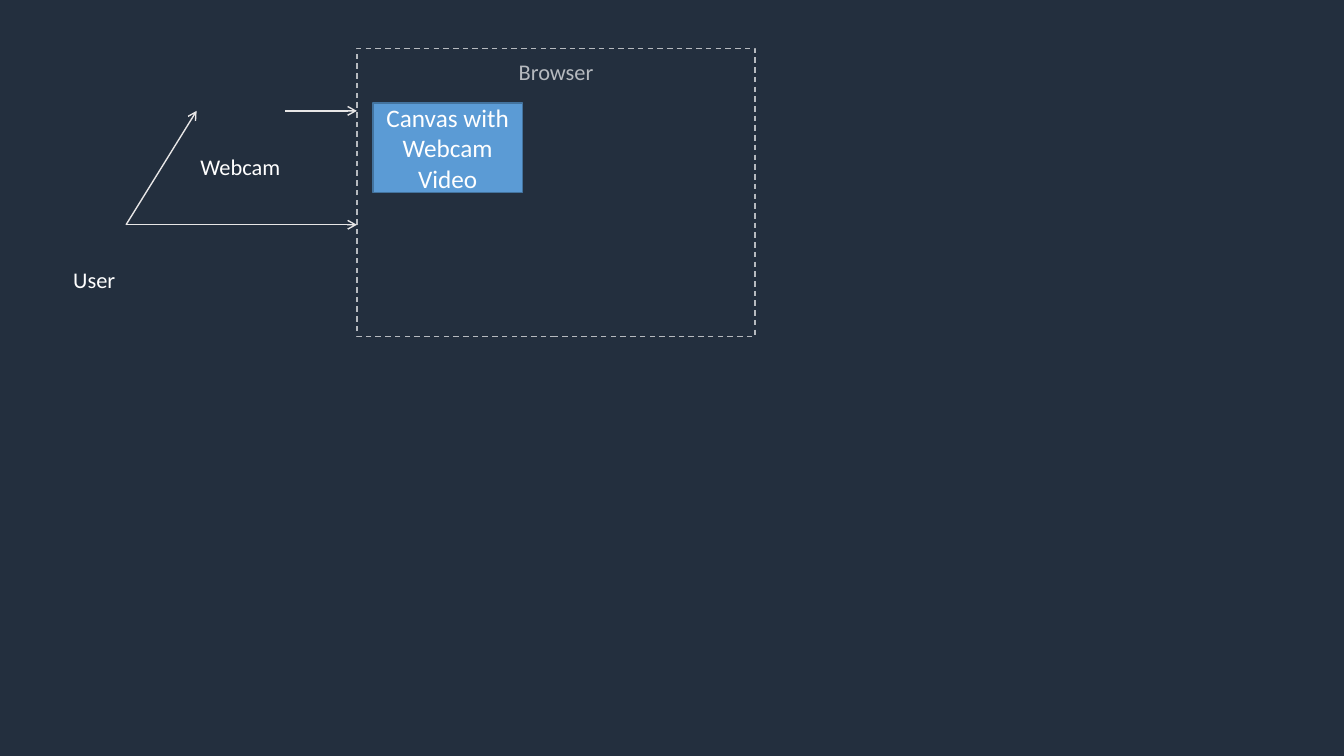
from lxml import etree
from pptx import Presentation
from pptx.dml.color import RGBColor
from pptx.enum import dml, shapes, text
from pptx.oxml import ns
from pptx.util import Inches, Pt

FONT = "Calibri"
COLORS = {
    "background": "232F3E",
    "white": "FFFFFF",
    "arrow": "E7E6E6",
    "browser": "B6BABF",
    "canvas": "5B9BD5",
    "canvas_line": "43739E",
}

# Boxes are left, top, width, height in inches.
BROWSER = (3.54, 0.48, 3.95, 2.86)
CANVAS = (3.7, 1.02, 1.48, 0.89)
USER_LABEL = (0.35, 2.59, 1.17, 0.37)
WEBCAM_LABEL = (1.89, 1.47, 1, 0.37)

USER_POINT = (1.25, 2.23)
WEBCAM_IN = (1.95, 1.1)
WEBCAM_OUT = (2.83, 1.1)
ARROWS = [
    (USER_POINT, WEBCAM_IN),
    (USER_POINT, (BROWSER[0], USER_POINT[1])),
    (WEBCAM_OUT, (BROWSER[0], WEBCAM_OUT[1])),
]


def rgb(name):
    return RGBColor.from_string(COLORS[name])


def write(shape, lines, size, color, align, anchor, wrap=True):
    frame = shape.text_frame
    frame.word_wrap = wrap
    frame.vertical_anchor = anchor
    frame.text = "\n".join(lines)
    for paragraph in frame.paragraphs:
        paragraph.alignment = align
        paragraph.font.name = FONT
        paragraph.font.size = Pt(size)
        paragraph.font.color.rgb = rgb(color)


def add_label(slide, box, label, align, wrap):
    shape = slide.shapes.add_textbox(*map(Inches, box))
    write(shape, [label], 16, "white", align, text.MSO_ANCHOR.TOP, wrap)
    shape.text_frame.auto_size = text.MSO_AUTO_SIZE.SHAPE_TO_FIT_TEXT


def add_box(slide, box, line_color, fill=None):
    shape = slide.shapes.add_shape(shapes.MSO_SHAPE.RECTANGLE, *map(Inches, box))
    shape.shadow.inherit = False
    if fill:
        shape.fill.solid()
        shape.fill.fore_color.rgb = rgb(fill)
    else:
        shape.fill.background()
    shape.line.color.rgb = rgb(line_color)
    shape.line.width = Pt(1)
    return shape


def add_arrow(slide, start, end):
    connector = slide.shapes.add_connector(
        shapes.MSO_CONNECTOR.STRAIGHT, *map(Inches, start + end))
    connector.line.color.rgb = rgb("arrow")
    connector.line.width = Pt(1)
    etree.SubElement(connector.line._get_or_add_ln(), ns.qn("a:tailEnd"), type="arrow")
    etree.SubElement(connector._element.spPr, ns.qn("a:effectLst"))


def main():
    presentation = Presentation()
    presentation.slide_width = Inches(13.33)
    presentation.slide_height = Inches(7.5)
    slide = presentation.slides.add_slide(presentation.slide_layouts[6])
    slide.background.fill.solid()
    slide.background.fill.fore_color.rgb = rgb("background")

    center = text.PP_ALIGN.CENTER
    add_label(slide, USER_LABEL, "User", center, wrap=True)
    add_label(slide, WEBCAM_LABEL, "Webcam", text.PP_ALIGN.LEFT, wrap=False)

    browser = add_box(slide, BROWSER, "browser")
    browser.line.dash_style = dml.MSO_LINE.DASH
    browser.text_frame.margin_top = Inches(0.1)
    write(browser, ["Browser"], 16, "browser", center, text.MSO_ANCHOR.TOP)

    for start, end in ARROWS:
        add_arrow(slide, start, end)

    canvas = add_box(slide, CANVAS, "canvas_line", fill="canvas")
    write(canvas, ["Canvas with Webcam", "Video"], 18, "white", center,
          text.MSO_ANCHOR.MIDDLE)

    presentation.save("out.pptx")


if __name__ == "__main__":
    main()
